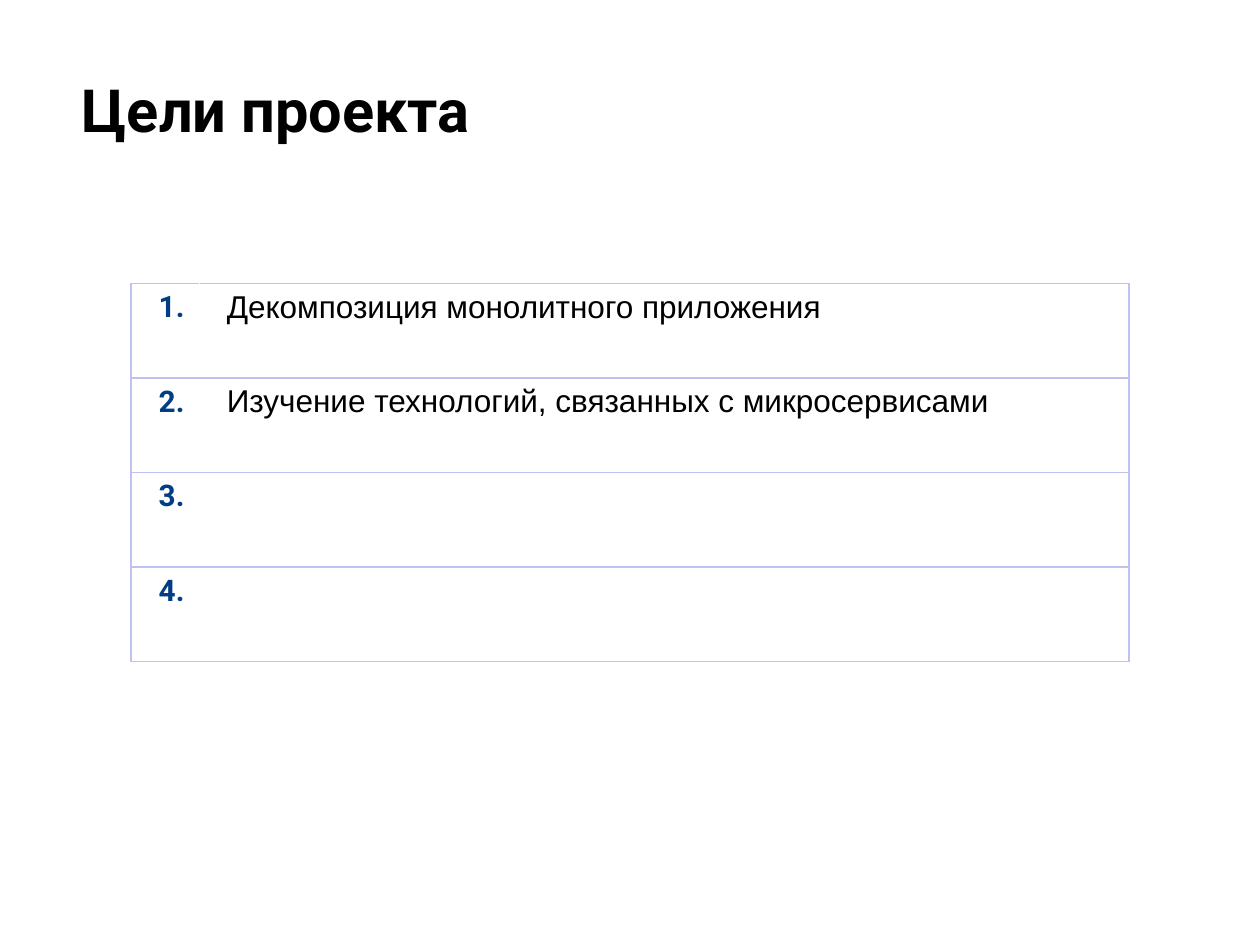
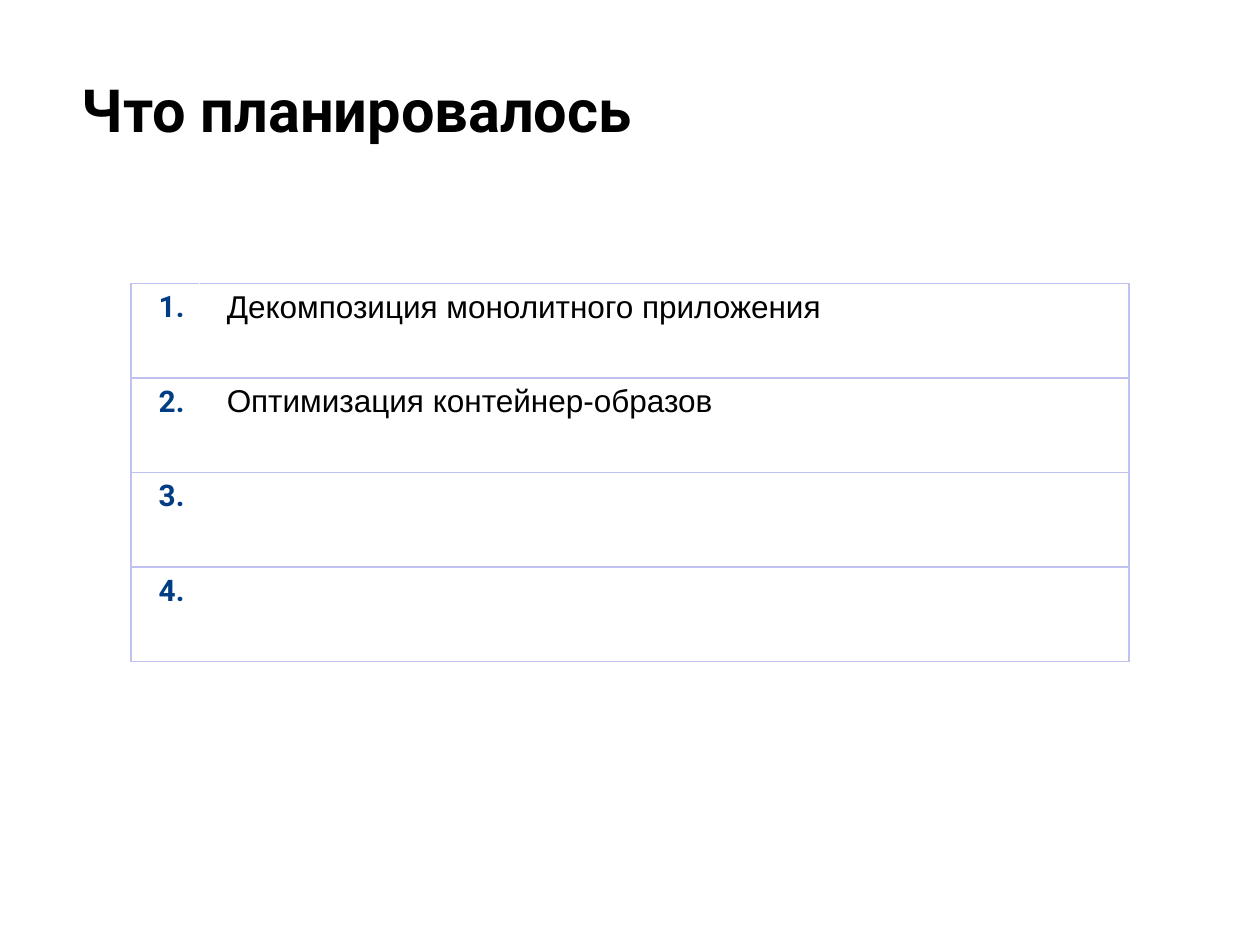
from lxml import etree
from pptx import Presentation
from pptx.dml.color import RGBColor
from pptx.enum import text
from pptx.oxml import ns
from pptx.util import Inches, Pt

# Shared look
BLACK = RGBColor(0x00, 0x00, 0x00)
WHITE = RGBColor(0xFF, 0xFF, 0xFF)
NUMBER_BLUE = RGBColor(0x01, 0x3D, 0x85)
RULE_LILAC = RGBColor(0xBF, 0xC1, 0xF0)
TITLE_FONT = "Roboto"
BODY_FONT = "Arial"
TITLE_ONLY = 5

# Goal table grid, in inches
TABLE_LEFT, TABLE_TOP = 1.04, 2.25
COLUMN_WIDTHS = (0.54, 7.38)
ROW_HEIGHT = 0.75
ROW_COUNT = 4

SLIDES = [
    ("Цели проекта", [
        "Декомпозиция монолитного приложения",
        "Изучение технологий, связанных с микросервисами",
    ]),
    ("Что планировалось", [
        "Декомпозиция монолитного приложения",
        "Оптимизация контейнер-образов",
    ]),
]


def style_text(frame, font_name, size, color, bold):
    for para in frame.paragraphs:
        para.alignment = text.PP_ALIGN.LEFT
        for span in para.runs:
            span.font.name = font_name
            span.font.size = Pt(size)
            span.font.color.rgb = color
            span.font.bold = bold


def set_margins(target, left, top, right, bottom):
    target.margin_left, target.margin_top = Inches(left), Inches(top)
    target.margin_right, target.margin_bottom = Inches(right), Inches(bottom)


def add_title(page, wording):
    title = page.shapes.title
    title.left, title.top = Inches(0.55), Inches(0.48)
    title.width, title.height = Inches(9.32), Inches(1.43)
    frame = title.text_frame
    frame.text = wording
    frame.word_wrap = True
    frame.auto_size = text.MSO_AUTO_SIZE.NONE
    frame.vertical_anchor = text.MSO_ANCHOR.TOP
    set_margins(frame, 0.1, 0.1, 0.1, 0.1)
    style_text(frame, TITLE_FONT, 34, BLACK, True)


def set_borders(cell, left, right):
    """Lilac rules above and below, the given colours at the sides."""
    properties = cell._tc.get_or_add_tcPr()
    sides = {"lnL": left, "lnR": right, "lnT": RULE_LILAC, "lnB": RULE_LILAC}
    for tag, color in sides.items():
        line = etree.SubElement(properties, ns.qn(f"a:{tag}"), w=str(Pt(0.75)))
        fill = etree.SubElement(line, ns.qn("a:solidFill"))
        etree.SubElement(fill, ns.qn("a:srgbClr"), val=str(color))


def fill_cell(cell, wording, font_name, size, color, bold):
    cell.text_frame.text = wording
    cell.vertical_anchor = text.MSO_ANCHOR.TOP
    set_margins(cell, 0.22, 0.05, 0.1, 0.05)
    style_text(cell.text_frame, font_name, size, color, bold)


def add_goal_table(page, goals):
    table = page.shapes.add_table(
        ROW_COUNT, len(COLUMN_WIDTHS), Inches(TABLE_LEFT), Inches(TABLE_TOP),
        Inches(sum(COLUMN_WIDTHS)), Inches(ROW_HEIGHT * ROW_COUNT)).table
    table.first_row = table.horz_banding = False
    for column, width in zip(table.columns, COLUMN_WIDTHS):
        column.width = Inches(width)

    for index in range(ROW_COUNT):
        number, goal = table.cell(index, 0), table.cell(index, 1)
        wording = goals[index] if index < len(goals) else ""
        fill_cell(number, f"{index + 1}.", TITLE_FONT, 17, NUMBER_BLUE, True)
        fill_cell(goal, wording, BODY_FONT, 18, BLACK, False)
        # The rule between number and goal is white
        set_borders(number, RULE_LILAC, WHITE)
        set_borders(goal, WHITE, RULE_LILAC)
        for cell in (number, goal):
            cell.fill.background()


def main():
    deck = Presentation()
    deck.slide_width, deck.slide_height = Inches(10), Inches(7.5)
    for title, goals in SLIDES:
        page = deck.slides.add_slide(deck.slide_layouts[TITLE_ONLY])
        add_title(page, title)
        add_goal_table(page, goals)
    deck.save("out.pptx")


if __name__ == "__main__":
    main()
